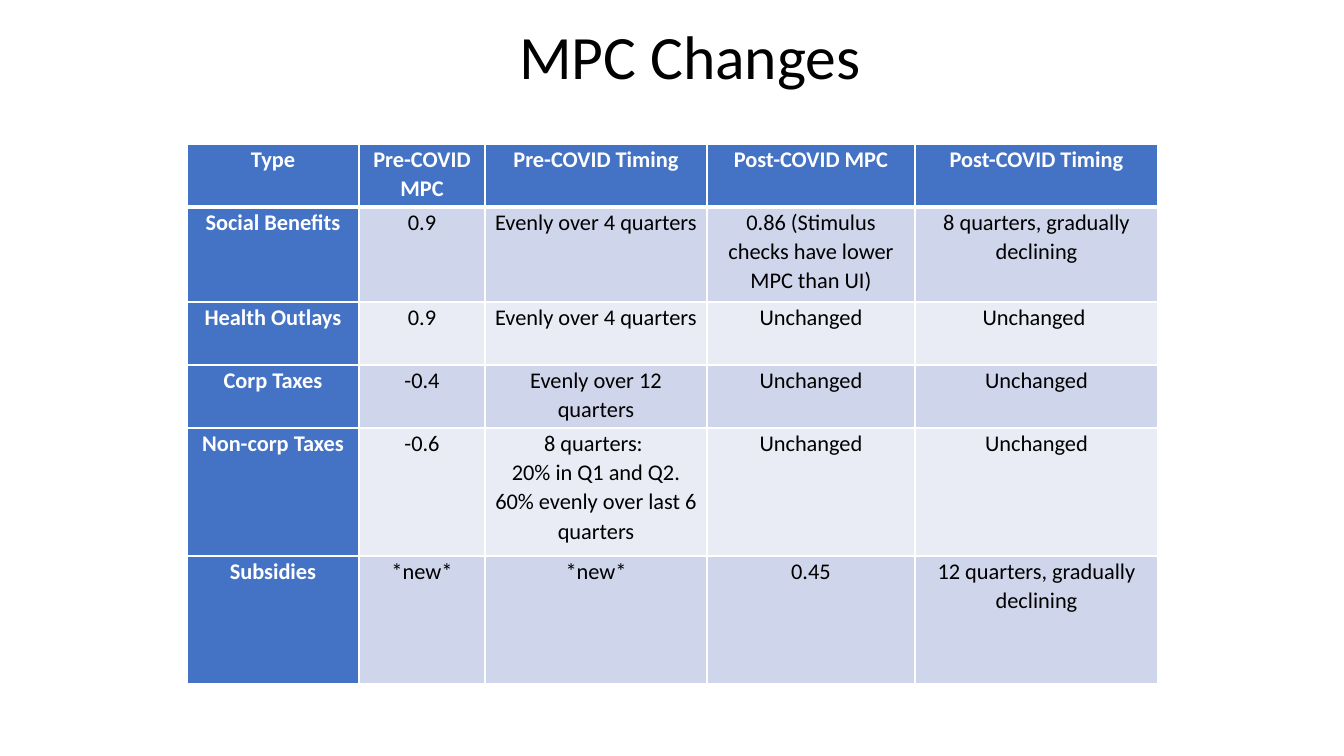
from lxml import etree
from pptx import Presentation
from pptx import util as u
from pptx.dml.color import RGBColor
from pptx.enum import text
from pptx.oxml import ns

PIXEL = 914400 / 100.8
FONT = "Calibri"
COLORS = {"header": "4472C4", "odd_band": "CFD5EA", "even_band": "E9EBF5",
          "light": "FFFFFF", "dark": "000000"}

COLUMN_WIDTHS = [172, 126, 222, 208, 243]
ROW_HEIGHTS = [63, 95, 63, 63, 128, 128]
MPC_ROWS = [
    ["Type", "Pre-COVID MPC", "Pre-COVID Timing", "Post-COVID MPC", "Post-COVID Timing"],
    ["Social Benefits", "0.9", "Evenly over 4 quarters",
     "0.86 (Stimulus checks have lower MPC than UI)", "8 quarters, gradually declining"],
    ["Health Outlays", "0.9", "Evenly over 4 quarters", "Unchanged", "Unchanged "],
    ["Corp Taxes", "-0.4", "Evenly over 12 quarters", "Unchanged", "Unchanged"],
    ["Non-corp Taxes", "-0.6",
     "8 quarters: \n20% in Q1 and Q2.\n60% evenly over last 6 quarters",
     "Unchanged", "Unchanged"],
    ["Subsidies", "*new*", "*new*", "0.45", "12 quarters, gradually declining"],
]


def px(length):
    return u.Emu(round(length * PIXEL))


def rgb(name):
    return RGBColor.from_string(COLORS[name])


def format_runs(frame, size, color, bold, align, spacing=None):
    for paragraph in frame.paragraphs:
        paragraph.alignment = align
        paragraph.line_spacing = spacing
        for run in paragraph.runs:
            run.font.name = FONT
            run.font.size = u.Pt(size)
            run.font.bold = bold
            run.font.color.rgb = rgb(color)


def add_borders(cell, widths):
    # Border elements come before the fill in the cell properties
    properties = cell._tc.get_or_add_tcPr()
    for index, (side, width) in enumerate(widths.items()):
        border = etree.Element(ns.qn(f"a:ln{side}"), w=str(u.Pt(width)))
        fill = etree.SubElement(border, ns.qn("a:solidFill"))
        etree.SubElement(fill, ns.qn("a:srgbClr"), val=COLORS["light"])
        properties.insert(index, border)


def add_title(slide, left, top, width, height):
    title = slide.shapes.title
    title.left, title.top, title.width, title.height = map(px, (left, top, width, height))
    frame = title.text_frame
    frame.text = "MPC Changes"
    frame.vertical_anchor = text.MSO_ANCHOR.TOP
    frame.auto_size = text.MSO_AUTO_SIZE.NONE
    format_runs(frame, 44, "dark", False, text.PP_ALIGN.LEFT)


def fill_cell(cell, wording, row, column):
    is_heading = row == 0 or column == 0
    band = "odd_band" if row % 2 else "even_band"
    cell.fill.solid()
    cell.fill.fore_color.rgb = rgb("header" if is_heading else band)
    cell.margin_left = cell.margin_right = px(7)
    cell.margin_top = cell.margin_bottom = 0
    cell.vertical_anchor = text.MSO_ANCHOR.TOP
    cell.text_frame.text = wording
    format_runs(cell.text_frame, 16, "light" if is_heading else "dark",
                is_heading, text.PP_ALIGN.CENTER, 1.07)
    add_borders(cell, {"L": 1, "R": 1, "T": 3 if row == 1 else 1, "B": 3 if row == 0 else 1})


def add_mpc_table(slide, left, top):
    frame = slide.shapes.add_table(
        len(ROW_HEIGHTS), len(COLUMN_WIDTHS), px(left), px(top),
        px(sum(COLUMN_WIDTHS)), px(sum(ROW_HEIGHTS)))
    mpc_table = frame.table
    mpc_table.first_col = True
    for column, width in zip(mpc_table.columns, COLUMN_WIDTHS):
        column.width = px(width)
    for row, height in zip(mpc_table.rows, ROW_HEIGHTS):
        row.height = px(height)
    for row, wordings in enumerate(MPC_ROWS):
        for column, wording in enumerate(wordings):
            fill_cell(mpc_table.cell(row, column), wording, row, column)


deck = Presentation()
deck.slide_width, deck.slide_height = px(1344), px(756)
mpc_slide = deck.slides.add_slide(deck.slide_layouts[5])
add_title(mpc_slide, 509, 13, 559, 85)
add_mpc_table(mpc_slide, 187, 144)
deck.save("out.pptx")
